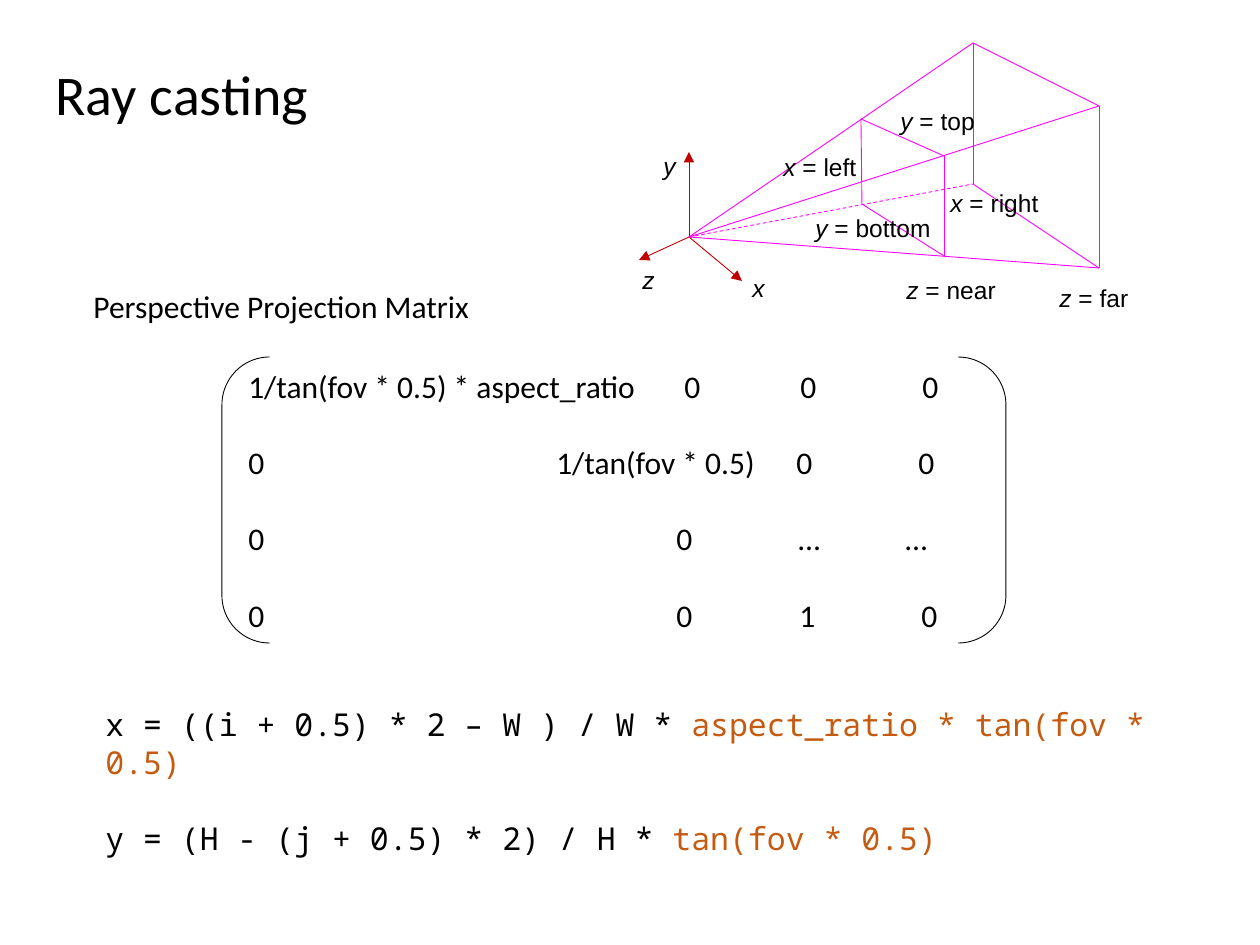
from dataclasses import dataclass

from lxml import etree
from pptx import Presentation
from pptx.dml.color import RGBColor
from pptx.enum.dml import MSO_LINE
from pptx.enum.shapes import MSO_CONNECTOR, MSO_SHAPE
from pptx.enum.text import MSO_ANCHOR, MSO_AUTO_SIZE, PP_ALIGN
from pptx.oxml.ns import qn
from pptx.util import Emu, Pt

STRAIGHT = MSO_CONNECTOR.STRAIGHT
BRACKET = MSO_SHAPE.DOUBLE_BRACKET
DASH = MSO_LINE.DASH
MIDDLE = MSO_ANCHOR.MIDDLE
LEFT = PP_ALIGN.LEFT
FIT, FIXED = MSO_AUTO_SIZE.SHAPE_TO_FIT_TEXT, MSO_AUTO_SIZE.NONE

COLORS = {"text": "000000", "axis": "C00000", "ray": "FF00FF", "scale": "C55A11"}
SANS, LABEL, MONO = "Calibri", "Arial", "Noto Sans Mono"
SCALE = 914400 / 126  # EMU in one px
GAP = 22  # points between rows of text

Point = tuple[int, int]


@dataclass
class Run:
    text: str
    color: str = "text"
    italic: bool = False


@dataclass
class Edge:
    start: Point
    end: Point
    color: str = "ray"
    arrow: bool = False
    dash: bool = False


@dataclass
class Label:
    left: int
    top: int
    width: int
    name: str
    side: str = ""


@dataclass
class Row:
    cells: list[str]
    stops: list[int]  # px from the first cell


def px(n: float) -> Emu:
    return Emu(round(n * SCALE))


def paint(color: str) -> RGBColor:
    return RGBColor.from_string(COLORS[color])


def add_runs(para, runs: list[Run], font: str, size: int) -> None:
    for item in runs:
        run = para.add_run()
        run.text = item.text
        run.font.name = font
        run.font.size = Pt(size)
        run.font.italic = item.italic
        run.font.color.rgb = paint(item.color)


def add_paras(frame, lines: list[list[Run]], font: str, size: int) -> None:
    frame.word_wrap = True
    for i, runs in enumerate(lines):
        para = frame.add_paragraph() if i else frame.paragraphs[0]
        para.alignment = LEFT
        para.space_before = Pt(GAP if i else 0)
        add_runs(para, runs, font, size)


def add_text(shapes, box: tuple[int, int, int, int], lines: list[list[Run]],
             font: str, size: int) -> None:
    frame = shapes.add_textbox(*map(px, box)).text_frame
    frame.auto_size = FIT
    add_paras(frame, lines, font, size)


def add_edge(shapes, edge: Edge) -> None:
    line = shapes.add_connector(STRAIGHT, *map(px, edge.start + edge.end))
    line.line.color.rgb = paint(edge.color)
    line.line.width = Pt(0.5)
    if edge.dash:
        line.line.dash_style = DASH
    if edge.arrow:
        etree.SubElement(line.line._get_or_add_ln(), qn("a:tailEnd"), type="triangle")
    etree.SubElement(line._element.spPr, qn("a:effectLst"))


def add_label(shapes, label: Label) -> None:
    runs = [Run(label.name, italic=True)]
    if label.side:
        runs.append(Run(f" = {label.side}"))
    add_text(shapes, (label.left, label.top, label.width, 41), [runs], LABEL, 14)


def add_matrix(shapes, box: tuple[int, int, int, int], rows: list[Row]) -> None:
    shape = shapes.add_shape(BRACKET, *map(px, box))
    shape.shadow.inherit = False
    shape.fill.background()
    shape.line.color.rgb = paint("text")
    shape.line.width = Pt(0.5)
    frame = shape.text_frame
    frame.vertical_anchor = MIDDLE
    add_paras(frame, [[Run("\t".join(row.cells))] for row in rows], SANS, 18)
    for para, row in zip(frame.paragraphs, rows):
        tabs = etree.SubElement(para._p.get_or_add_pPr(), qn("a:tabLst"))
        for stop in row.stops:
            etree.SubElement(tabs, qn("a:tab"), pos=str(px(stop)), algn="l")


# View frustum: corners run top left, top right, bottom right, bottom left
EYE = (689, 237)
FAR = [(973, 43), (1099, 106), (1099, 268), (973, 184)]
NEAR = [(861, 119), (944, 156), (944, 256), (862, 204)]
AXES = [(689, 152), (639, 260), (742, 281)]

EDGES = [Edge(EYE, tip, "axis", arrow=True) for tip in AXES]
EDGES += [Edge(EYE, end, dash=i == 3) for i, end in enumerate(FAR)]
EDGES += [Edge(face[i - 1], face[i]) for face in (FAR, NEAR) for i in range(4)]

LABELS = [
    Label(888, 100, 135, "y", "top"),
    Label(938, 182, 135, "x", "right"),
    Label(803, 207, 141, "y", "bottom"),
    Label(771, 146, 111, "x", "left"),
    Label(894, 269, 135, "z", "near"),
    Label(1047, 277, 135, "z", "far"),
    Label(651, 145, 40, "y"),
    Label(740, 267, 40, "x"),
    Label(630, 259, 40, "z"),
]

ROWS = [
    Row(["1/tan(fov * 0.5) * aspect_ratio", "0", "0", "0"], [436, 552, 674]),
    Row(["0", "1/tan(fov * 0.5)", "0", "0"], [308, 548, 670]),
    Row(["0", "0", "…", "…"], [428, 550, 657]),
    Row(["0", "0", "1", "0"], [428, 551, 673]),
]

FORMULAS = [
    [Run("x = ((i + 0.5) * 2 – W ) / W * "),
     Run("aspect_ratio * tan(fov * 0.5)", "scale")],
    [Run("y = (H - (j + 0.5) * 2) / H * "), Run("tan(fov * 0.5)", "scale")],
]


def main() -> None:
    prs = Presentation()
    prs.slide_width, prs.slide_height = px(1260), px(945)
    slide = prs.slides.add_slide(prs.slide_layouts[5])
    shapes = slide.shapes

    # Title
    title = shapes.title
    title.left, title.top, title.width, title.height = map(px, (43, 57, 819, 81))
    title.text_frame.auto_size = FIXED
    title.text_frame.vertical_anchor = MIDDLE
    add_paras(title.text_frame, [[Run("Ray casting")]], SANS, 32)
    title.text_frame.paragraphs[0].line_spacing = 0.9

    # Frustum drawing
    group = shapes.add_group_shape()
    for edge in EDGES:
        add_edge(group.shapes, edge)
    for label in LABELS:
        add_label(group.shapes, label)

    # Formulas and matrix
    add_text(shapes, (93, 699, 1120, 127), FORMULAS, MONO, 18)
    add_text(shapes, (81, 281, 470, 50), [[Run("Perspective Projection Matrix")]], SANS, 18)
    add_matrix(shapes, (222, 357, 784, 286), ROWS)

    prs.save("out.pptx")


if __name__ == "__main__":
    main()
